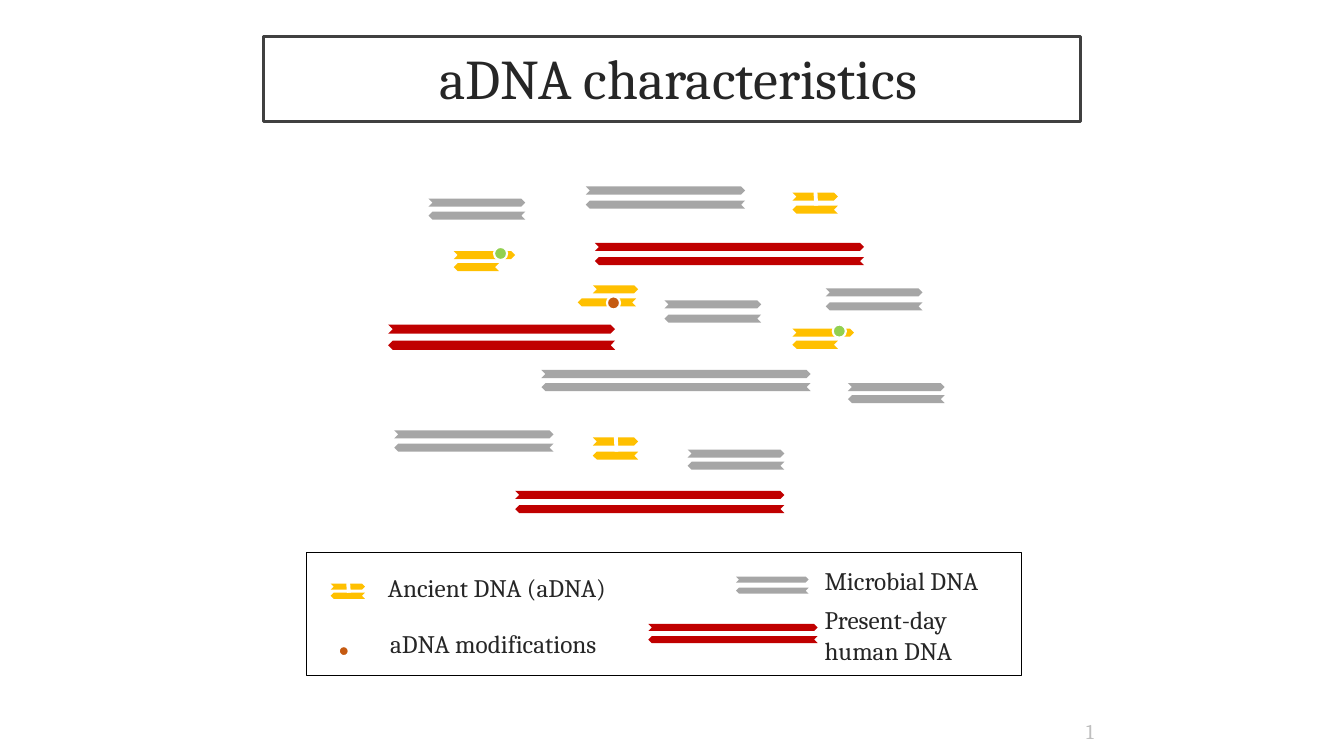
from pptx import Presentation
from pptx.dml.color import RGBColor
from pptx.enum.shapes import MSO_CONNECTOR, MSO_SHAPE
from pptx.enum.text import MSO_ANCHOR, PP_ALIGN
from pptx.oxml.ns import qn
from pptx.util import Inches, Pt

CHEVRON, DOT, BOX = MSO_SHAPE.CHEVRON, MSO_SHAPE.OVAL, MSO_SHAPE.RECTANGLE
STRAIGHT = MSO_CONNECTOR.STRAIGHT
LEFT, CENTER = PP_ALIGN.LEFT, PP_ALIGN.CENTER
TOP, MIDDLE = MSO_ANCHOR.TOP, MSO_ANCHOR.MIDDLE

# The slide is a grid of 1333 columns by 750 rows; all lengths count its cells
COLUMNS, ROWS = 1333, 750
CELL = Inches(7.5) / ROWS
FONT = "Cambria"
COLOURS = {
    "human": "C00000", "microbe": "A6A6A6", "ancient": "FFC000",
    "rust": "C55A11", "green": "92D050", "white": "FFFFFF",
    "text": "262626", "number": "BFBFBF", "frame": "404040", "border": "000000",
}

# Double strands: kind, left, top, length, step down to lower strand, thickness
FRAGMENTS = [
    ("human", 590, 241, 267, 14, 8),
    ("human", 511, 487, 267, 14, 8),
    ("human", 385, 322, 225, 16, 9),
    ("microbe", 537, 367, 267, 13, 8),
    ("microbe", 581, 185, 158, 14, 8),
    ("microbe", 391, 427, 158, 13, 8),
    ("microbe", 659, 298, 96, 14, 8),
    ("microbe", 819, 286, 96, 14, 8),
    ("microbe", 841, 380, 96, 12, 8),
    ("microbe", 682, 446, 96, 12, 8),
    ("microbe", 425, 197, 96, 13, 8),
]
# Nicked ancient DNA: left, top, length, step, thickness, nick height
NICKED = [
    (588, 434, 45, 14, 8, 40),
    (786, 191, 45, 13, 8, 40),
    (328, 579, 34, 9, 6, 30),
]
# Modified ancient DNA: upper (left, top, length), lower (same), dot (left, top, colour)
MODIFIED = [
    ((588, 283, 45), (573, 296, 58), (602, 294, "rust")),
    ((786, 326, 61), (786, 338, 45), (826, 322, "green")),
    ((450, 249, 61), (450, 261, 45), (490, 245, "green")),
]
LEGEND_FRAGMENTS = [
    ("microbe", 730, 572, 72, 11, 6),
    ("human", 643, 619, 168, 12, 7),
]
LEGEND_DOT = (336, 641, 10, "rust")
# Text, left, top, width, height, wraps
LEGEND_LABELS = [
    ("Ancient DNA (aDNA)", 375, 563, 244, 40, False),
    ("aDNA modifications", 377, 618, 234, 40, False),
    ("Microbial DNA", 808, 556, 177, 40, False),
    ("Present-day human DNA", 808, 595, 190, 71, True),
]
# Left, top, width, height, line colour, line width
FRAMES = [
    (261, 36, 811, 85, "frame", 2.25),
    (304, 548, 709, 122, "border", 1),
]

deck = Presentation()
deck.slide_width, deck.slide_height = round(COLUMNS * CELL), round(ROWS * CELL)
slide = deck.slides.add_slide(deck.slide_layouts[6])


def cells(*counts):
    return [round(count * CELL) for count in counts]


def colour(name):
    return RGBColor.from_string(COLOURS[name])


def add_part(preset, left, top, width, height, fill=None, line=None, weight=1):
    part = slide.shapes.add_shape(preset, *cells(left, top, width, height))
    part.shadow.inherit = False
    if fill:
        part.fill.solid()
        part.fill.fore_color.rgb = colour(fill)
    else:
        part.fill.background()
    if line:
        part.line.color.rgb = colour(line)
        part.line.width = Pt(weight)
    else:
        part.line.fill.background()
    return part


def add_text(words, left, top, width, height, wraps=True, size=18,
             ink="text", align=LEFT, anchor=TOP):
    frame = slide.shapes.add_textbox(*cells(left, top, width, height)).text_frame
    frame.word_wrap = wraps
    frame.vertical_anchor = anchor
    frame.paragraphs[0].alignment = align
    run = frame.paragraphs[0].add_run()
    run.text = words
    run.font.name, run.font.size = FONT, Pt(size)
    run.font.color.rgb = colour(ink)


def add_pair(kind, upper, lower, thickness):
    """Upper strand points right, lower strand points left."""
    for strand, turn in ((upper, 0), (lower, 180)):
        add_part(CHEVRON, *strand, thickness, kind).rotation = turn


def add_fragment(kind, left, top, length, step, thickness):
    add_pair(kind, (left, top, length), (left, top + step, length), thickness)


def add_dot(left, top, size, fill):
    add_part(DOT, left, top, size, size, fill, "white", 1.5)


def add_nick(left, top, length, step, reach):
    middle, foot = left + length / 2, top + step
    nick = slide.shapes.add_connector(
        STRAIGHT, *cells(middle - 1, foot - reach, middle + 1, foot))
    nick.line.color.rgb = colour("white")
    nick.line.width = Pt(2.75)
    properties = nick._element.spPr
    properties.append(properties.makeelement(qn("a:effectLst"), {}))


# Title and slide number
add_text(" aDNA characteristics", 261, 38, 811, 77, size=40, align=CENTER)
add_text("1", 1045, 705, 72, 40, size=15, ink="number", align=CENTER, anchor=MIDDLE)

# Title frame and legend border
for *place, line, weight in FRAMES:
    add_part(BOX, *place, line=line, weight=weight)

# Microbial and present-day human DNA
for fragment in FRAGMENTS + LEGEND_FRAGMENTS:
    add_fragment(*fragment)

# Ancient DNA
for left, top, length, step, thickness, reach in NICKED:
    add_fragment("ancient", left, top, length, step, thickness)
    add_nick(left, top, length, step, reach)
for upper, lower, (left, top, fill) in MODIFIED:
    add_pair("ancient", upper, lower, 8)
    add_dot(left, top, 13, fill)

# Legend dot and labels
add_dot(*LEGEND_DOT)
for label in LEGEND_LABELS:
    add_text(*label)

deck.save("out.pptx")
